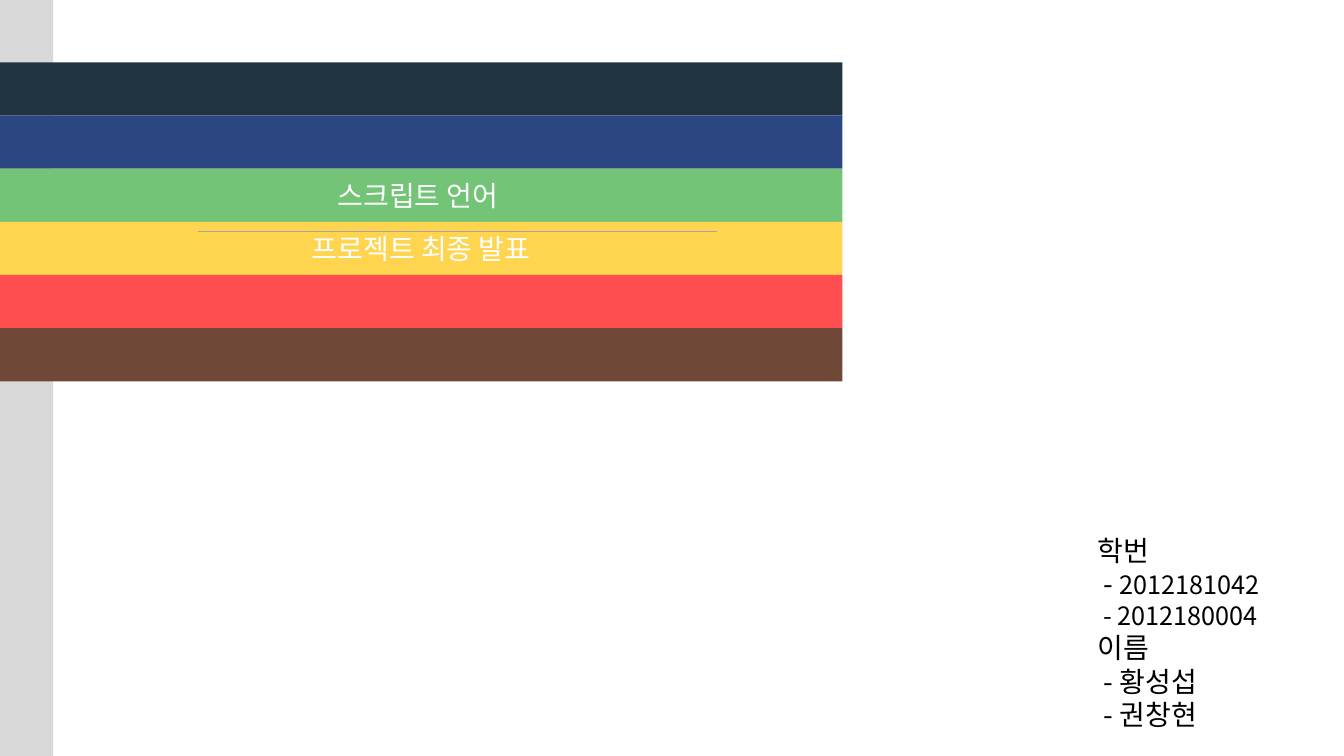
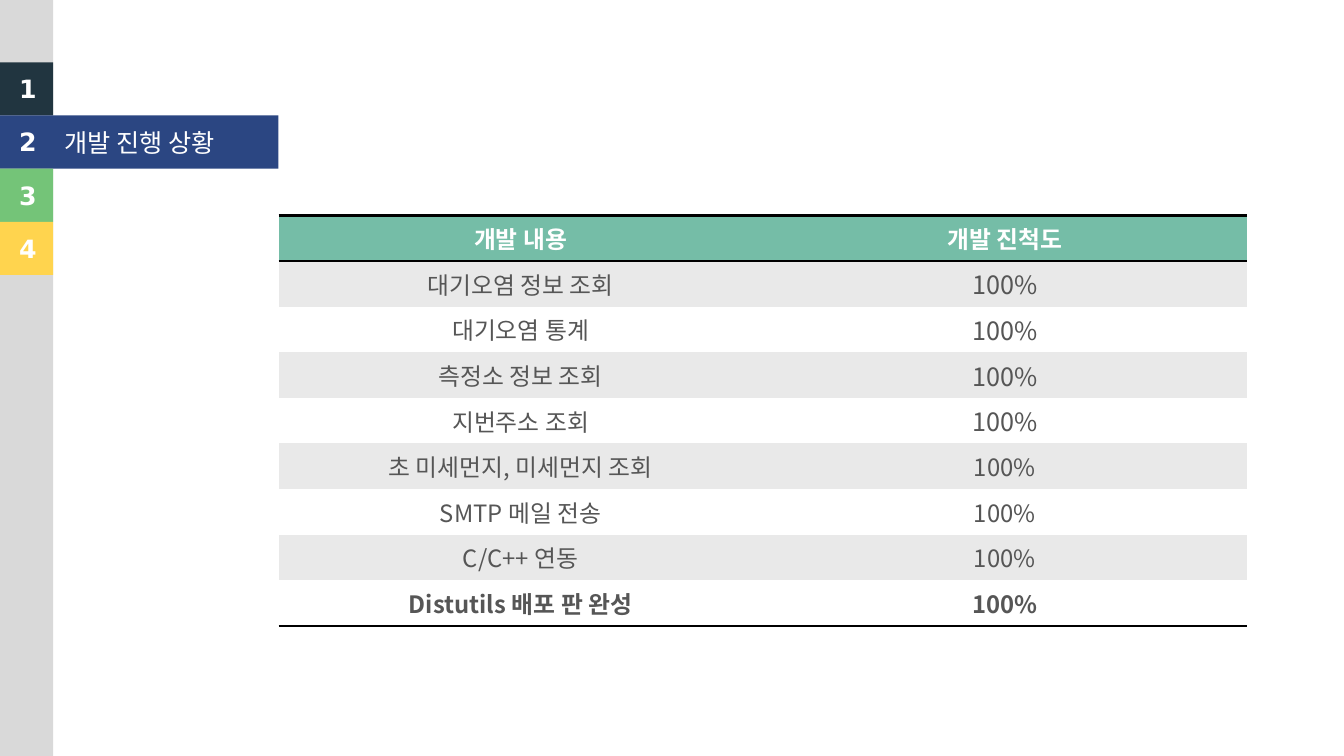
from dataclasses import dataclass

from lxml.etree import SubElement
from pptx import Presentation
from pptx.dml.color import RGBColor
from pptx.enum.shapes import MSO_CONNECTOR, MSO_SHAPE
from pptx.enum.text import MSO_ANCHOR as Anchor, PP_ALIGN as Align
from pptx.oxml import parse_xml
from pptx.oxml.ns import nsdecls, qn
from pptx.util import Cm, Pt


@dataclass(frozen=True)
class Theme:
    # Colours
    white: str = "FFFFFF"
    ink: str = "000000"
    grey_text: str = "565656"
    rail: str = "D9D9D9"
    rule: str = "A6A6A6"
    header: str = "75BDA7"
    stripe: str = "E9E9E9"
    bands: tuple = ("213540", "2B4682", "74C478", "FFD44E", "FE4E50", "704837")
    # Fonts and sizes
    label_font: str = "DejaVu Sans"
    body_font: str = "Noto Sans CJK KR"
    large: int = 20
    medium: int = 18
    small: int = 17
    # Band grid in centimetres
    band_top: float = 1.57
    band_size: float = 1.34


NO_STYLE_NO_GRID = "{2D5ABB26-0587-4C30-8999-92F81FD0307C}"


class Deck:
    def __init__(self, theme):
        self.theme = theme
        self.presentation = Presentation()
        self.presentation.slide_width = Cm(33.87)
        self.presentation.slide_height = Cm(19.05)
        self.slide = None

    def new_slide(self):
        layout = self.presentation.slide_layouts[6]
        self.slide = self.presentation.slides.add_slide(layout)
        self.block(0, 0, self.theme.band_size, 19.05, self.theme.rail)

    def style_run(self, run, size, color, font, bold=False):
        run.font.size = Pt(size)
        run.font.bold = bold
        run.font.name = font
        run.font.color.rgb = RGBColor.from_string(color)
        east_asian = SubElement(run.font._element, qn("a:ea"))
        east_asian.set("typeface", self.theme.body_font)

    def block(self, left, top, width, height, color):
        shape = self.slide.shapes.add_shape(
            MSO_SHAPE.RECTANGLE, Cm(left), Cm(top), Cm(width), Cm(height))
        shape.shadow.inherit = False
        shape.fill.solid()
        shape.fill.fore_color.rgb = RGBColor.from_string(color)
        shape.line.fill.background()
        return shape

    def band_y(self, index):
        return self.theme.band_top + index * self.theme.band_size

    def band(self, index, width, text="", size=None):
        theme = self.theme
        shape = self.block(0, self.band_y(index), width, theme.band_size,
                           theme.bands[index])
        if text:
            frame = shape.text_frame
            frame.text = text
            frame.vertical_anchor = Anchor.MIDDLE
            paragraph = frame.paragraphs[0]
            paragraph.alignment = Align.CENTER
            self.style_run(paragraph.runs[0], size, theme.white, theme.label_font)

    def band_number(self, index):
        theme = self.theme
        box = self.slide.shapes.add_textbox(
            Cm(0.23), Cm(self.band_y(index) + 0.16), Cm(0.89), Cm(1.02))
        frame = box.text_frame
        frame.word_wrap = False
        frame.text = str(index + 1)
        self.style_run(frame.paragraphs[0].runs[0], theme.medium, theme.white,
                       theme.label_font, bold=True)

    def rule(self, left, right, top):
        line = self.slide.shapes.add_connector(
            MSO_CONNECTOR.STRAIGHT, Cm(left), Cm(top), Cm(right), Cm(top))
        line.line.color.rgb = RGBColor.from_string(self.theme.rule)
        line.line.width = Pt(0.5)
        SubElement(line._element.spPr, qn("a:effectLst"))

    def text_lines(self, left, top, width, height, lines):
        """Each line is a list of (text, size) runs."""
        box = self.slide.shapes.add_textbox(Cm(left), Cm(top), Cm(width), Cm(height))
        frame = box.text_frame
        frame.word_wrap = True
        for number, runs in enumerate(lines):
            paragraph = frame.add_paragraph() if number else frame.paragraphs[0]
            for text, size in runs:
                run = paragraph.add_run()
                run.text = text
                self.style_run(run, size, self.theme.ink, self.theme.body_font)

    def cell_border(self, cell, *sides):
        # Border elements come before the cell fill, top before bottom
        properties = cell._tc.get_or_add_tcPr()
        for position, side in enumerate(sides):
            properties.insert(position, parse_xml(
                f'<a:ln{side} {nsdecls("a")} w="{Pt(2)}"><a:solidFill>'
                f'<a:srgbClr val="{self.theme.ink}"/></a:solidFill></a:ln{side}>'))

    def table(self, left, top, column_width, row_height, rows):
        """Each row is (texts, sizes); the first is the header, the last is bold."""
        theme = self.theme
        columns, last = len(rows[0][0]), len(rows) - 1
        table = self.slide.shapes.add_table(
            len(rows), columns, Cm(left), Cm(top),
            Cm(column_width * columns), Cm(row_height * len(rows))).table
        table._tbl.tblPr.find(qn("a:tableStyleId")).text = NO_STYLE_NO_GRID
        for column in table.columns:
            column.width = Cm(column_width)
        for row, (texts, sizes) in enumerate(rows):
            table.rows[row].height = Cm(row_height)
            fill = theme.stripe if row % 2 else theme.white
            for column, (text, size) in enumerate(zip(texts, sizes)):
                cell = table.cell(row, column)
                cell.text = text
                cell.vertical_anchor = Anchor.MIDDLE
                cell.margin_top = cell.margin_bottom = Cm(0.1)
                cell.fill.solid()
                cell.fill.fore_color.rgb = RGBColor.from_string(
                    fill if row else theme.header)
                paragraph = cell.text_frame.paragraphs[0]
                paragraph.alignment = Align.CENTER
                self.style_run(paragraph.runs[0], size,
                               theme.grey_text if row else theme.white,
                               theme.body_font, bold=row in (0, last))
                if row == 0:
                    self.cell_border(cell, "T", "B")
                elif row == last:
                    self.cell_border(cell, "B")


def cover_slide(deck):
    theme = deck.theme
    deck.new_slide()

    # Title bands
    titles = {2: "스크립트 언어 ", 3: "프로젝트 최종 발표"}
    for index in range(len(theme.bands)):
        deck.band(index, 21.23, titles.get(index, ""), theme.large)
    deck.rule(5, 18.06, 5.84)

    # Students
    large, medium = theme.large, theme.medium
    deck.text_lines(27.41, 13.31, 5.49, 5.31, [
        [("학번", large)],
        [(" - ", large), ("2012181042", medium)],
        [(" - 2012180004", medium)],
        [("이름", large)],
        [(" - 황성섭", large)],
        [(" - 권창현", large)],
    ])


def progress_slide(deck):
    theme = deck.theme
    deck.new_slide()

    # Section tabs, the current one opened
    current, open_width = 1, 7.02
    for index in range(4):
        if index == current:
            deck.band(index, open_width, "개발 진행 상황", theme.medium)
        else:
            deck.band(index, theme.band_size)
        deck.band_number(index)

    # Progress table
    small, medium = theme.small, theme.medium
    tasks = [
        ("대기오염 정보 조회", medium),
        ("대기오염 통계", medium),
        ("측정소 정보 조회", medium),
        ("지번주소 조회", medium),
        ("초 미세먼지, 미세먼지 조회", small),
        ("SMTP 메일 전송", small),
        ("C/C++ 연동", small),
        ("Distutils 배포 판 완성", small),
    ]
    rows = [(("개발 내용", "개발 진척도"), (small, small))]
    rows += [((task, "100%"), (small, size)) for task, size in tasks]
    deck.table(open_width, 5.43, 12.2, 1.15, rows)


def main():
    deck = Deck(Theme())
    cover_slide(deck)
    progress_slide(deck)
    deck.presentation.save("out.pptx")


if __name__ == "__main__":
    main()
